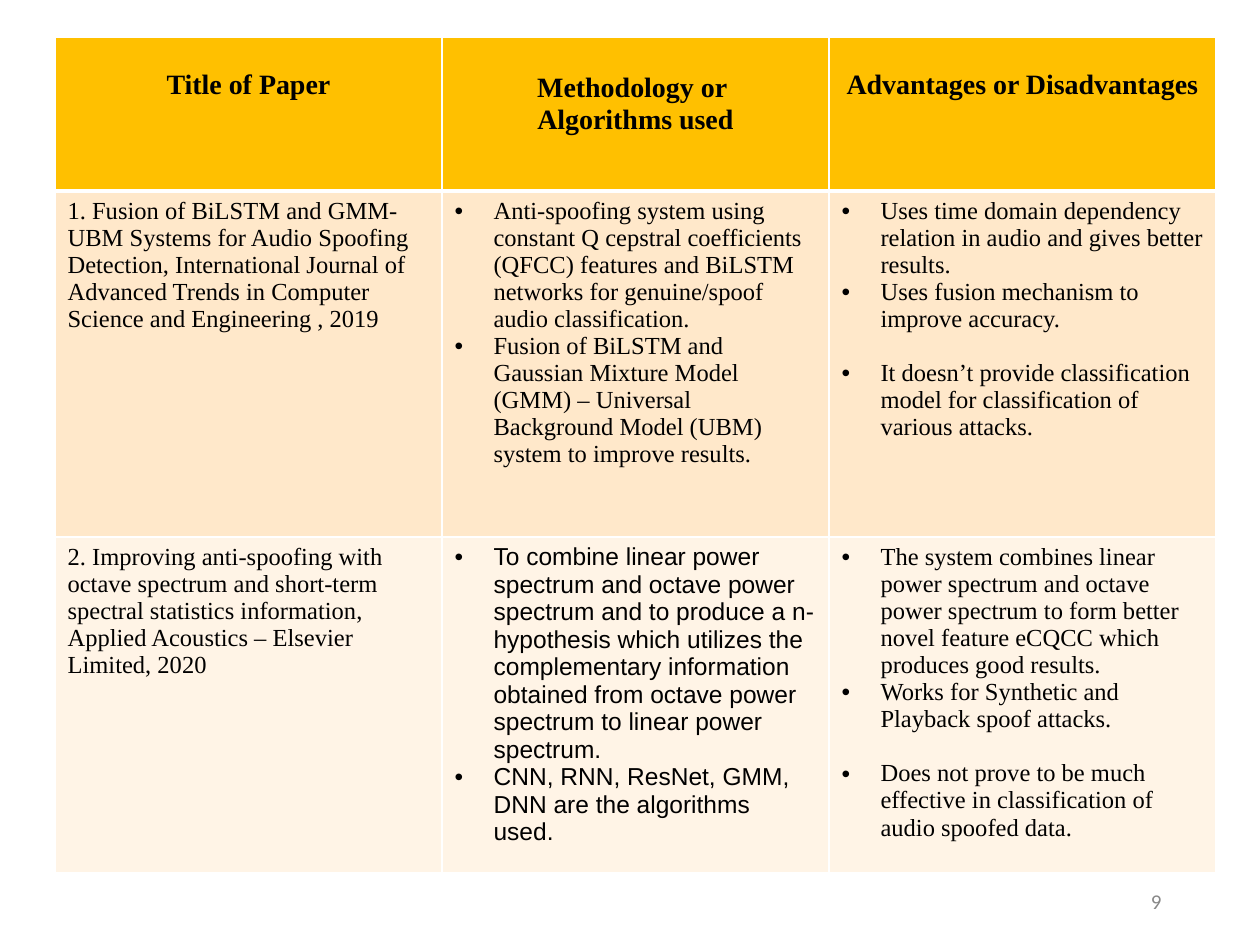
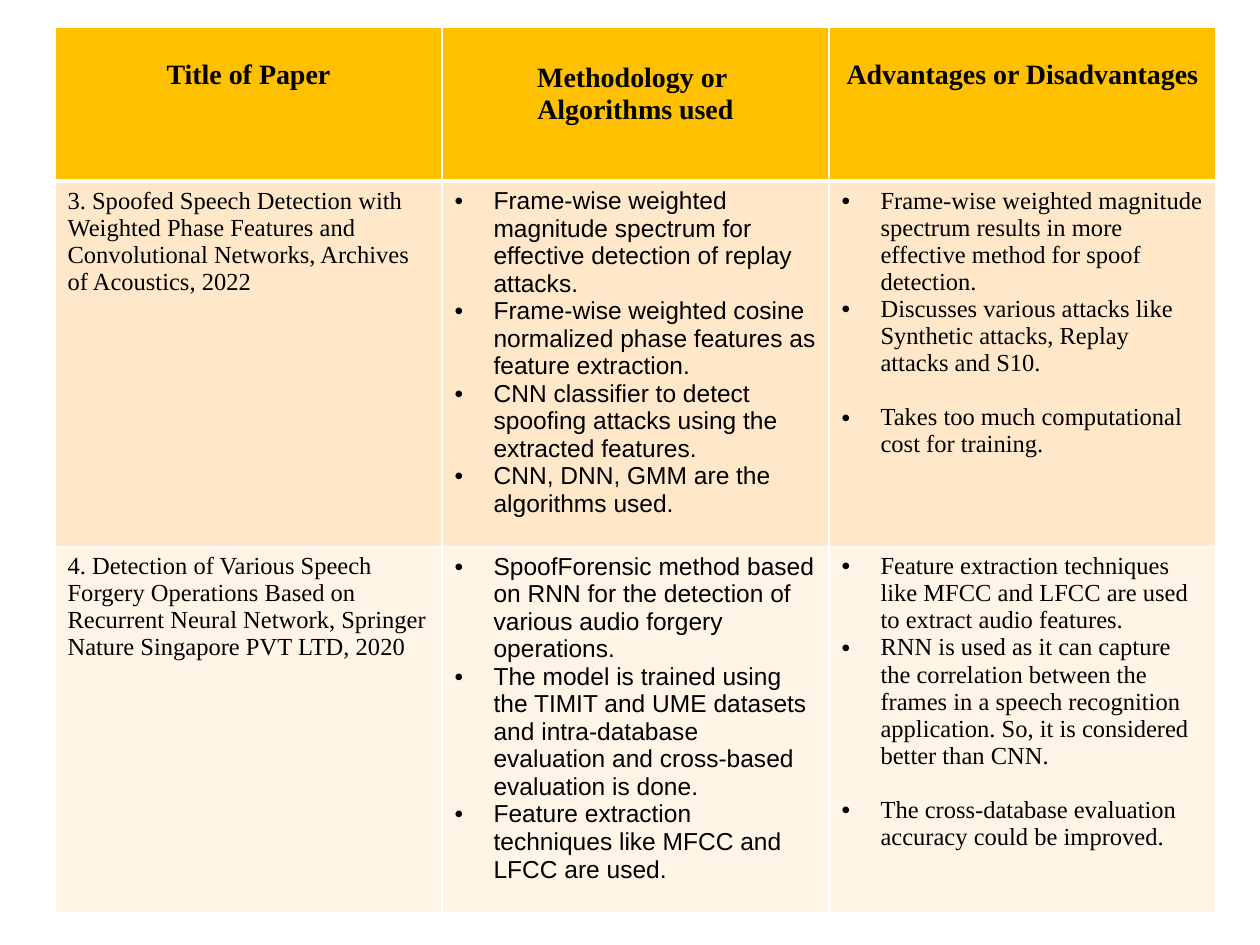
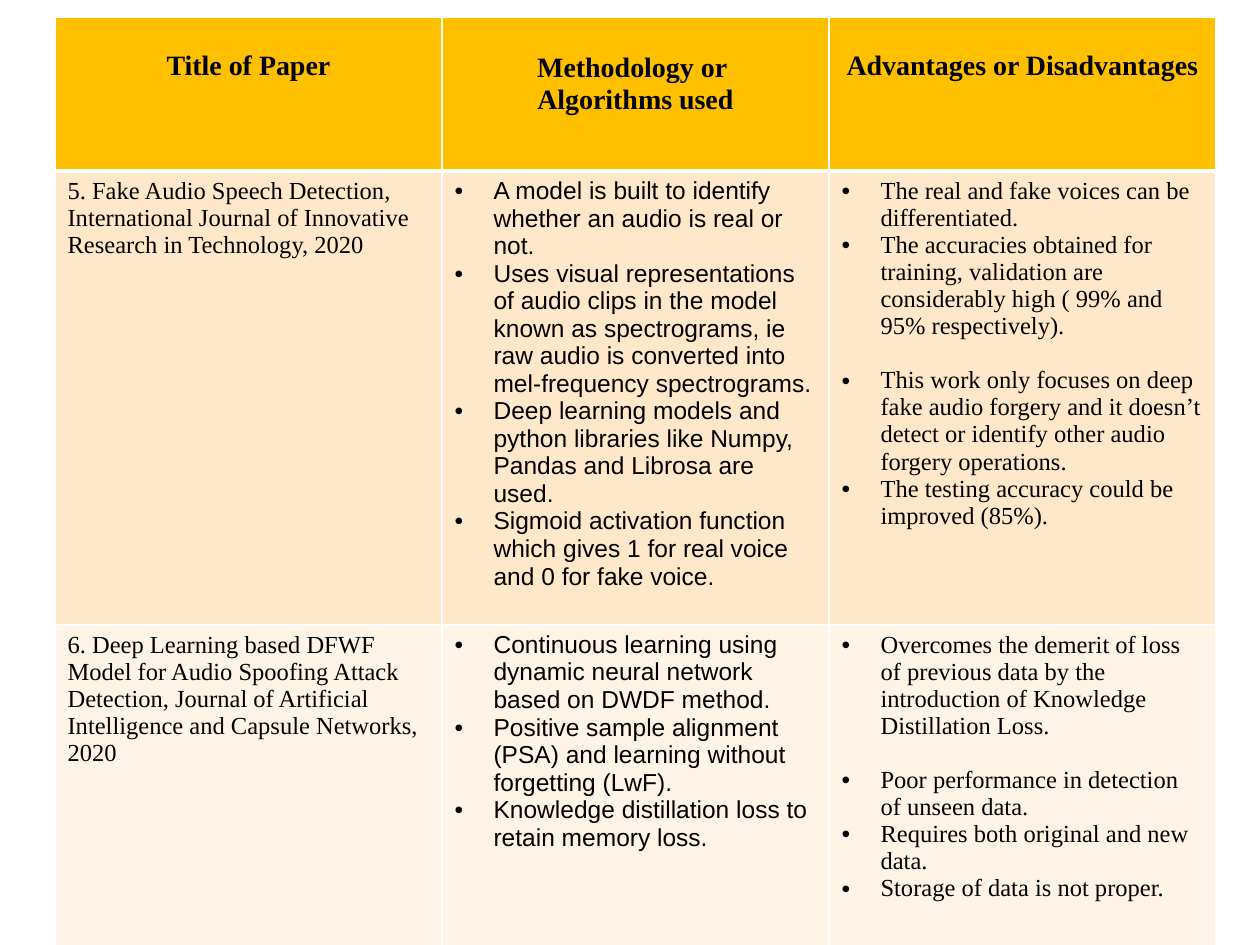
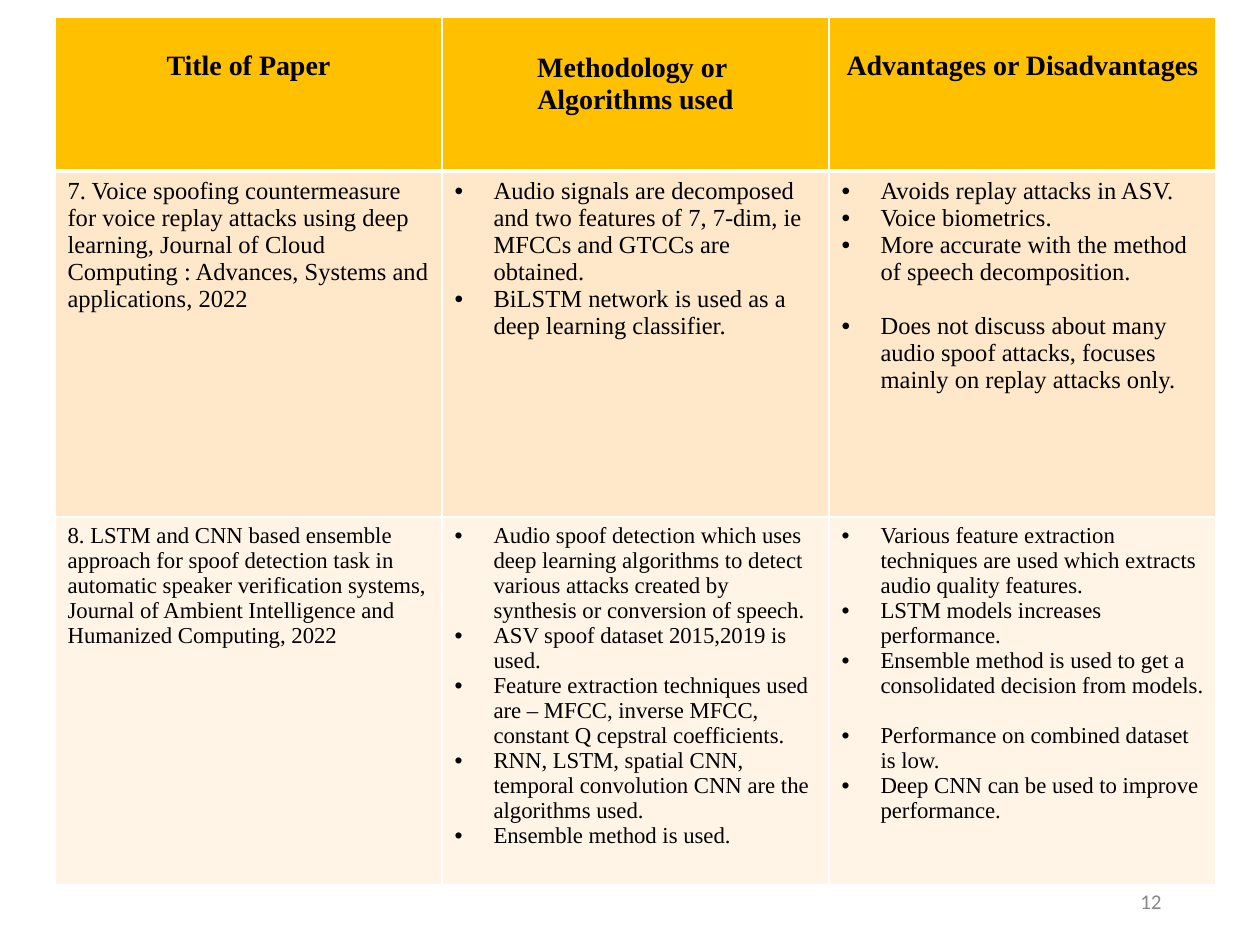
from lxml import etree
from pptx import Presentation
from pptx import util as u
from pptx.dml import color
from pptx.enum import text as t
from pptx.oxml import ns

SCALE = 914400 / 126
GOLD, PEACH, CREAM = "FFC000", "FFE8CA", "FFF4E6"
WHITE, BLACK, GREY = "FFFFFF", "000000", "888888"
SERIF, SANS = "Times New Roman", "Arial"
COL, ROWS, LEFT = 387, (154, 346, 324), 55
INDENT = 39
HEADS = (
    ("Title of Paper", 33),
    ("Methodology or \vAlgorithms used", 36),
    ("Advantages or Disadvantages", 33),
)

PAGES = [
    dict(top=37, high=835, num="9", rows=[
        dict(
            name="1. Fusion of BiLSTM and GMM-UBM Systems for Audio Spoofing Detection, International Journal of Advanced Trends in Computer Science and Engineering , 2019",
            ways=["Anti-spoofing system using constant Q cepstral coefficients (QFCC) features and BiLSTM networks for genuine/spoof audio classification.",
                  "Fusion of BiLSTM and Gaussian Mixture Model (GMM) – Universal Background Model (UBM) system to improve results."],
            font=SERIF,
            pros=["Uses time domain dependency relation in audio and gives better results.",
                  "Uses fusion mechanism to improve accuracy."],
            cons=["It doesn’t provide classification model for classification of various attacks."]),
        dict(
            name="2. Improving anti-spoofing with octave spectrum and short-term spectral statistics information, Applied Acoustics – Elsevier Limited, 2020",
            ways=["To combine linear power spectrum and octave power spectrum and to produce a n-hypothesis which utilizes the complementary information obtained from octave power spectrum to linear power spectrum.",
                  "CNN, RNN, ResNet, GMM, DNN are the algorithms used."],
            pros=["The system combines linear power spectrum and octave power spectrum to form better novel feature eCQCC which produces good results.",
                  "Works for Synthetic and Playback spoof attacks."],
            cons=["Does not prove to be much effective in classification of audio spoofed data."]),
    ]),
    dict(top=27, high=854, num="10", rows=[
        dict(
            name="3. Spoofed Speech Detection with Weighted Phase Features and Convolutional Networks, Archives of Acoustics, 2022",
            ways=["Frame-wise weighted magnitude spectrum for effective detection of replay attacks.",
                  "Frame-wise weighted cosine normalized phase features as feature extraction.",
                  "CNN classifier to detect spoofing attacks using the extracted features.",
                  "CNN, DNN, GMM are the algorithms used."],
            pros=["Frame-wise weighted magnitude spectrum results in more effective method for spoof detection.",
                  "Discusses various attacks like Synthetic attacks, Replay attacks and S10."],
            cons=["Takes too much computational cost for training."]),
        dict(
            name="4. Detection of Various Speech Forgery Operations Based on Recurrent Neural Network, Springer Nature Singapore PVT LTD, 2020",
            ways=["SpoofForensic method based on RNN for the detection of various audio forgery operations.",
                  "The model is trained using the TIMIT and UME datasets and intra-database evaluation and cross-based evaluation is done.",
                  "Feature extraction techniques like MFCC and LFCC are used."],
            pros=["Feature extraction techniques like MFCC and LFCC are used to extract audio features.",
                  "RNN is used as it can capture the correlation between the frames in a speech recognition application. So, it is considered better than CNN."],
            cons=["The cross-database evaluation accuracy could be improved."]),
    ]),
    dict(top=17, high=872, num=None, rows=[
        dict(
            name="5. Fake Audio Speech Detection, International Journal of Innovative Research in Technology, 2020",
            ways=["A model is built to identify whether an audio is real or not.",
                  "Uses visual representations of audio clips in the model known as spectrograms, ie raw audio is converted into mel-frequency spectrograms.",
                  "Deep learning models and python libraries like Numpy, Pandas and Librosa are used.",
                  "Sigmoid activation function which gives 1 for real voice and 0 for fake voice."],
            pros=["The real and fake voices can be differentiated.",
                  "The accuracies obtained for training, validation are considerably high ( 99% and 95% respectively)."],
            cons=["This work only focuses on deep fake audio forgery and it doesn’t detect or identify other audio forgery operations.",
                  "The testing accuracy could be improved (85%)."]),
        dict(
            name="6. Deep Learning based DFWF Model for Audio Spoofing Attack Detection, Journal of Artificial Intelligence and Capsule Networks, 2020",
            ways=["Continuous learning using dynamic neural network based on DWDF method.",
                  "Positive sample alignment (PSA) and learning without forgetting (LwF).",
                  "Knowledge distillation loss to retain memory loss."],
            pros=["Overcomes the demerit of loss of previous data by the introduction of Knowledge Distillation Loss."],
            cons=["Poor performance in detection of unseen data.",
                  "Requires both original and new data.",
                  "Storage of data is not proper."]),
    ]),
    dict(top=17, high=867, num="12", rows=[
        dict(
            name="7. Voice spoofing countermeasure for voice replay attacks using deep learning, Journal of Cloud Computing : Advances, Systems and applications_, _2022",
            ways=["Audio signals are decomposed and two features of 7, 7-dim, ie MFCCs and GTCCs are obtained.",
                  "BiLSTM network is used as a deep learning classifier."],
            font=SERIF,
            pros=["Avoids replay attacks in ASV.",
                  "Voice biometrics.",
                  "More accurate with the method of speech decomposition."],
            cons=["Does not discuss about many audio spoof attacks, focuses mainly on replay attacks only."]),
        dict(
            name="8. LSTM and CNN based ensemble approach for spoof detection task in automatic speaker verification systems, Journal of Ambient Intelligence and Humanized Computing, 2022",
            ways=["Audio spoof detection which uses deep learning algorithms to detect various attacks created by synthesis or conversion of speech.",
                  "ASV spoof dataset 2015,2019 is used.",
                  "Feature extraction techniques used are – MFCC, inverse MFCC, constant Q cepstral coefficients.",
                  "RNN, LSTM, spatial CNN, temporal convolution CNN are the algorithms used.",
                  "Ensemble method is used."],
            font=SERIF, size=13,
            pros=["Various feature extraction techniques are used which extracts audio quality features.",
                  "LSTM models increases performance.",
                  "Ensemble method is used to get a consolidated decision from models."],
            cons=["Performance on combined dataset is low.",
                  "Deep CNN can be used to improve performance."]),
    ]),
]


def px(n):
    return u.Emu(round(n * SCALE))


def rgb(code):
    return color.RGBColor.from_string(code)


def sub(node, tag, **attrs):
    return etree.SubElement(node, ns.qn(tag), attrs)


def write(para, words, size=14, font=SERIF, ink=BLACK, bold=False,
          align=t.PP_ALIGN.LEFT, bullet=False, gap=0):
    if bullet:
        props = para._p.get_or_add_pPr()
        props.set("marL", str(px(INDENT)))
        props.set("indent", str(-px(INDENT)))
        sub(sub(props, "a:buClr"), "a:srgbClr", val=BLACK)
        sub(props, "a:buFont", typeface=SANS)
        sub(props, "a:buChar", char="•")
    para.alignment = align
    if gap:
        para.space_before = u.Pt(gap)
    for i, part in enumerate(words.split("_")):
        for j, line in enumerate(part.split("\v")):
            if j:
                para.add_line_break()
            run = para.add_run()
            run.text = line
            run.font.size, run.font.name = u.Pt(size), font
            run.font.bold, run.font.italic = bold, i % 2 == 1
            run.font.color.rgb = rgb(ink)


def paint(cell, tint, row):
    props = cell._tc.get_or_add_tcPr()
    thick = {0: "a:lnB", 1: "a:lnT"}.get(row)
    for side in ("a:lnL", "a:lnR", "a:lnT", "a:lnB"):
        wide = 3 if side == thick else 1
        edge = sub(props, side, w=str(u.Pt(wide)))
        sub(sub(edge, "a:solidFill"), "a:srgbClr", val=WHITE)
    cell.fill.solid()
    cell.fill.fore_color.rgb = rgb(tint)


def items(cell, lines, split=None, **style):
    frame = cell.text_frame
    for i, line in enumerate(lines):
        para = frame.add_paragraph() if i else frame.paragraphs[0]
        gap = style["size"] * 1.11 if i == split else 0
        write(para, line, bullet=True, gap=gap, **style)


def grid(slide, x, y, high, rows):
    shape = slide.shapes.add_table(
        len(ROWS), len(HEADS), px(x), px(y), px(COL * len(HEADS)), px(high))
    table = shape.table
    for col in table.columns:
        col.width = px(COL)
    for i, (tall, tint) in enumerate(zip(ROWS, (GOLD, PEACH, CREAM))):
        table.rows[i].height = px(tall)
        for cell in table.rows[i].cells:
            paint(cell, tint, i)
    shape.height = px(high)
    for cell, (words, inset) in zip(table.rows[0].cells, HEADS):
        cell.margin_top = px(inset)
        write(cell.text_frame.paragraphs[0], words, size=16, bold=True,
              align=t.PP_ALIGN.CENTER)
    for i, row in enumerate(rows, 1):
        size = row.get("size", 14)
        name, ways, views = table.rows[i].cells
        write(name.text_frame.paragraphs[0], row["name"], size=size)
        items(ways, row["ways"], size=size, font=row.get("font", SANS))
        items(views, row["pros"] + row["cons"], split=len(row["pros"]),
              size=size)


def footer(slide, x, y, wide, tall, num):
    frame = slide.shapes.add_textbox(px(x), px(y), px(wide), px(tall)).text_frame
    frame.word_wrap = True
    frame.vertical_anchor = t.MSO_ANCHOR.MIDDLE
    write(frame.paragraphs[0], num, size=12, font="Calibri", ink=GREY,
          align=t.PP_ALIGN.RIGHT)


def main():
    deck = Presentation()
    deck.slide_width, deck.slide_height = px(1260), px(945)
    for page in PAGES:
        slide = deck.slides.add_slide(deck.slide_layouts[6])
        if page["num"]:
            footer(slide, 890, 876, 284, 50, page["num"])
        grid(slide, LEFT, page["top"], page["high"], page["rows"])
    deck.save("out.pptx")


if __name__ == "__main__":
    main()
